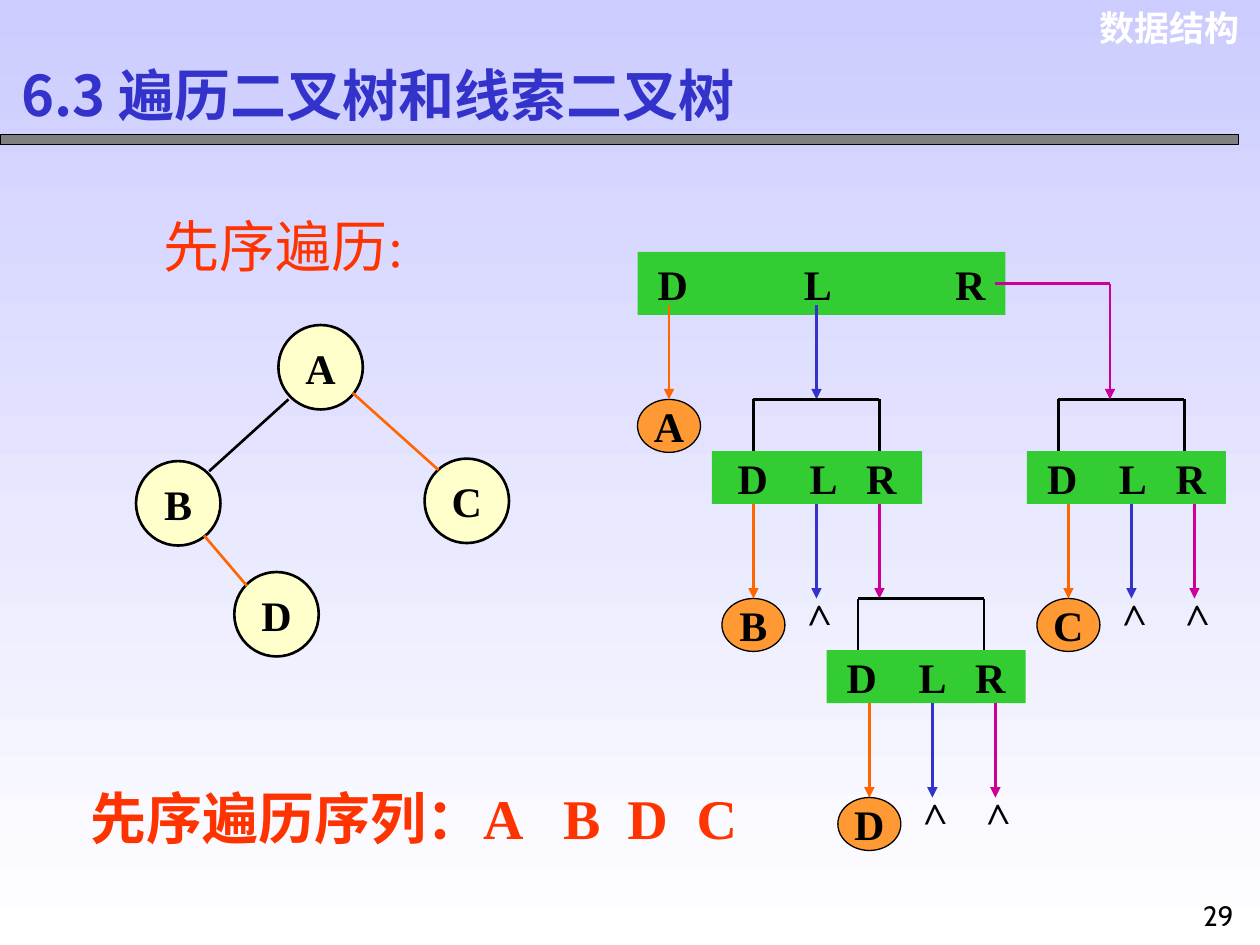
from lxml import etree
from pptx import Presentation
from pptx.dml.color import RGBColor
from pptx.enum.shapes import MSO_CONNECTOR, MSO_SHAPE
from pptx.enum.text import MSO_ANCHOR, PP_ALIGN
from pptx.oxml.ns import qn
from pptx.util import Inches, Pt

LINE = MSO_CONNECTOR.STRAIGHT
OVAL, RECT = MSO_SHAPE.OVAL, MSO_SHAPE.RECTANGLE
LEFT, CENTER, RIGHT = PP_ALIGN.LEFT, PP_ALIGN.CENTER, PP_ALIGN.RIGHT
TOP, MIDDLE = MSO_ANCHOR.TOP, MSO_ANCHOR.MIDDLE

BLACK, WHITE = RGBColor(0, 0, 0), RGBColor(255, 255, 255)
LAVENDER = RGBColor(0xCC, 0xCC, 0xFF)
GRAY = RGBColor(0x80, 0x80, 0x80)
CREAM = RGBColor(0xFF, 0xFF, 0xCC)
GREEN = RGBColor(0x33, 0xCC, 0x33)
AMBER = RGBColor(0xFF, 0x99, 0x33)
ORANGE = RGBColor(0xFF, 0x66, 0)
BLUE = RGBColor(0x33, 0x33, 0xCC)
MAGENTA = RGBColor(0xCC, 0, 0x99)
RED = RGBColor(0xFF, 0x33, 0)
SERIF = "Times New Roman"

TITLE = "6.3 遍历二叉树和线索二叉树"
# text, box, size, font, colour, bold, align, wrap, tabs
LABELS = [
    ("数据结构", (8.57, 0, 1.37, 0.44), 20, "Arial", WHITE, True, RIGHT, True, ()),
    ("先序遍历:", (1.2, 1.63, 2.21, 0.64), 32, SERIF, RED, False, LEFT, False, ()),
    ("先序遍历序列：A\tB\tD\tC", (0.62, 6.17, 5.35, 0.64), 32, SERIF, RED, True,
     LEFT, False, (3.75, 4.26, 4.81)),
    ("29", (9.42, 7.08, 0.5, 0.42), 16, "Cabin", BLACK, False, CENTER, True, ()),
]
TREE_NODES = [("A", 2.21, 2.58), ("D", 1.86, 4.54), ("B", 1.08, 3.66), ("C", 3.37, 3.64)]
TREE_EDGES = [
    ((2.29, 3.17), (1.66, 3.74), BLACK),
    ((2.8, 3.12), (3.48, 3.73), ORANGE),
    ((1.62, 4.25), (1.96, 4.65), ORANGE),
]
# box left, box width, fork left, fork top, first arrow, results of D, L, R
CALLS = [
    (5.65, 1.67, 5.98, 3.17, 5.98, ("B", ">", None)),
    (8.15, 1.58, 8.4, 3.17, 8.48, ("C", ">", ">")),
    (6.56, 1.58, 6.81, 4.75, 6.9, ("D", ">", ">")),
]
STEP_COLORS = (ORANGE, BLUE, MAGENTA)
STEP, FORK_W, FORK_H, CALL_H, ARROW_H = 0.5, 1, 0.41, 0.42, 0.75


def write(tf, text, size=24, font=SERIF, color=BLACK, bold=True, align=CENTER,
          anchor=MIDDLE, wrap=False, tabs=(), left=0.1, right=0.1):
    tf.word_wrap = wrap
    tf.vertical_anchor = anchor
    tf.margin_left, tf.margin_right = Inches(left), Inches(right)
    tf.margin_top = tf.margin_bottom = Inches(0.05)
    p = tf.paragraphs[0]
    p.alignment = align
    if tabs:
        tab_list = etree.SubElement(p._p.get_or_add_pPr(), qn("a:tabLst"))
        for pos in tabs:
            etree.SubElement(tab_list, qn("a:tab"), pos=str(Inches(pos)), algn="l")
    r = p.add_run()
    r.text = text
    r.font.size, r.font.bold, r.font.name = Pt(size), bold, font
    r.font.color.rgb = color


def add_shape(kind, box, fill, line_width=None):
    sp = s.shapes.add_shape(kind, *map(Inches, box))
    sp.shadow.inherit = False
    sp.fill.solid()
    sp.fill.fore_color.rgb = fill
    if line_width:
        sp.line.color.rgb = BLACK
        sp.line.width = Pt(line_width)
    else:
        sp.line.fill.background()
    return sp


def add_text(text, box, **style):
    sp = s.shapes.add_textbox(*map(Inches, box))
    write(sp.text_frame, text, anchor=TOP, **style)
    return sp


def add_line(start, end, color, arrow=False):
    cxn = s.shapes.add_connector(LINE, *map(Inches, start + end))
    cxn.line.color.rgb = color
    cxn.line.width = Pt(1.5)
    if arrow:
        etree.SubElement(cxn.line._get_or_add_ln(), qn("a:tailEnd"), type="triangle")
    etree.SubElement(cxn._element.spPr, qn("a:effectLst"))


def add_steps(left, top, width, height, tabs, letters_width):
    sp = add_shape(RECT, (left, top, width, height), GREEN)
    write(sp.text_frame, "D\tL\tR", align=LEFT, wrap=True, tabs=tabs,
          left=(width - letters_width) / 2, right=0)


def add_leaf(text, x, y):
    write(add_shape(OVAL, (x - 0.25, y, 0.5, 0.42), AMBER, 0.75).text_frame, text)


def add_call(left, width, fork_left, fork_top, first_x, results):
    fork_right, top = fork_left + FORK_W, fork_top + FORK_H
    add_line((fork_left, fork_top), (fork_right, fork_top), BLACK)
    for x in (fork_left, fork_right):
        add_line((x, fork_top), (x, top), BLACK)
    add_steps(left, top, width, CALL_H, (0.57, 1.02), 1.26)
    start = top + CALL_H
    end = start + ARROW_H
    for i, (result, color) in enumerate(zip(results, STEP_COLORS)):
        x = first_x + i * STEP
        add_line((x, start), (x, end), color, True)
        if result == ">":
            mark = add_text(result, (x - 0.21, end - 0.13, 0.42, 0.5), align=LEFT, wrap=True)
            mark.rotation = 268.3
        elif result:
            add_leaf(result, x, end)


prs = Presentation()
prs.slide_width, prs.slide_height = Inches(10), Inches(7.5)
s = prs.slides.add_slide(prs.slide_layouts[5])
bg = s.background.fill
bg.gradient()
bg.gradient_angle = 270
for stop, color in zip(bg.gradient_stops, (LAVENDER, WHITE)):
    stop.color.rgb = color

title = s.shapes.title
title.left, title.top, title.width, title.height = map(Inches, (0.07, 0.46, 6.75, 0.57))
write(title.text_frame, TITLE, 32, "Noto Sans CJK SC", BLUE, align=LEFT, wrap=True)
add_shape(RECT, (0, 1.07, 9.83, 0.08), GRAY, 0.75)

for text, box, size, font, color, bold, align, wrap, tabs in LABELS:
    add_text(text, box, size=size, font=font, color=color, bold=bold,
             align=align, wrap=wrap, tabs=tabs)

for name, x, y in TREE_NODES:
    write(add_shape(OVAL, (x, y, 0.67, 0.67), CREAM, 1.5).text_frame, name)
for edge in TREE_EDGES:
    add_line(*edge)

add_steps(5.06, 2, 2.92, 0.5, (1.16, 2.36), 2.6)
add_line((5.31, 2.42), (5.31, 3.17), ORANGE, True)
add_leaf("A", 5.31, 3.17)
add_line((6.48, 2.42), (6.48, 3.17), BLUE, True)
add_line((7.9, 2.25), (8.81, 2.25), MAGENTA)
for call in CALLS:
    add_call(*call)
add_line((8.81, 2.25), (8.81, 3.17), MAGENTA, True)

prs.save("out.pptx")
